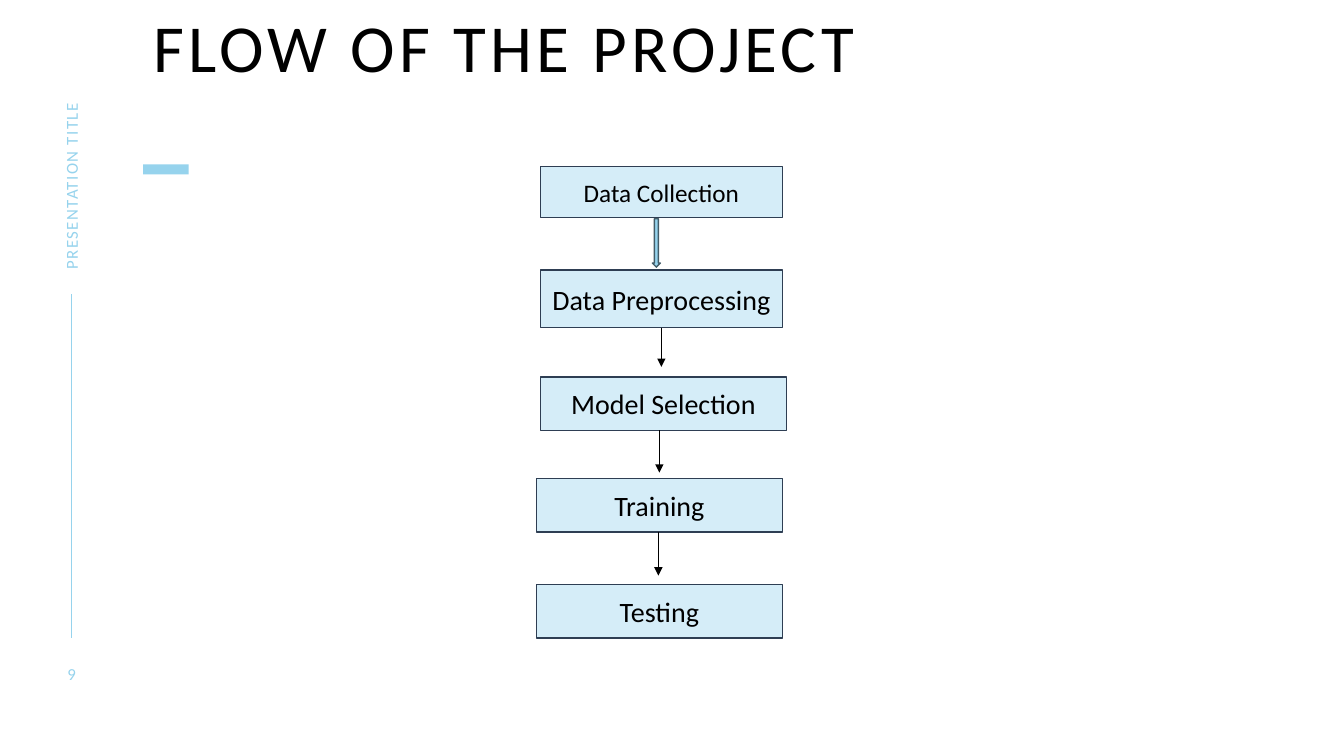
"""Build the project flow slide: five steps joined by arrows."""
from dataclasses import dataclass

from lxml.etree import SubElement
from pptx import Presentation
from pptx.dml.color import RGBColor
from pptx.enum.shapes import MSO_CONNECTOR, MSO_SHAPE
from pptx.enum.text import MSO_ANCHOR, MSO_AUTO_SIZE, PP_ALIGN
from pptx.oxml.ns import qn
from pptx.util import Inches, Pt


@dataclass(frozen=True)
class Theme:
    font: str = "Calibri"
    ink: RGBColor = RGBColor.from_string("000000")
    accent: RGBColor = RGBColor.from_string("96D3ED")
    box: RGBColor = RGBColor.from_string("D5EDF8")
    box_line: RGBColor = RGBColor.from_string("2E3E53")
    arrow_line: RGBColor = RGBColor.from_string("425C68")
    title: int = 48
    step: int = 20
    first_step: int = 18
    small: int = 12


def write(sp, text, size, color, align, anchor=MSO_ANCHOR.MIDDLE, spacing=0, inset=0):
    tf = sp.text_frame
    tf.word_wrap = True
    tf.auto_size = MSO_AUTO_SIZE.NONE
    tf.vertical_anchor = anchor
    tf.margin_left = tf.margin_right = Inches(inset)
    tf.margin_top = tf.margin_bottom = Inches(inset / 2)
    p = tf.paragraphs[0]
    p.alignment = align
    p.font.name, p.font.size, p.font.color.rgb = theme.font, Pt(size), color
    r = p.add_run()
    r.text = text
    if spacing:
        r.font._element.set("spc", str(spacing * 100))
    return p


def add_line(x, top, bottom, color, width, arrow=False):
    c = s.shapes.add_connector(
        MSO_CONNECTOR.STRAIGHT, Inches(x), Inches(top), Inches(x), Inches(bottom))
    c.line.color.rgb = color
    c.line.width = Pt(width)
    if arrow:
        SubElement(c.line._get_or_add_ln(), qn("a:tailEnd"), type="triangle")
    SubElement(c._element.spPr, qn("a:effectLst"))


theme = Theme()
prs = Presentation()
prs.slide_width, prs.slide_height = Inches(13.33), Inches(7.5)
s = prs.slides.add_slide(prs.slide_layouts[5])

title = s.shapes.title
title.left, title.top = Inches(1.52), Inches(0.14)
title.width, title.height = Inches(10.96), Inches(1.37)
p = write(title, "FLOW OF\u00a0THE PROJECT".replace("\u00a0", " "), theme.title, theme.ink,
          PP_ALIGN.LEFT, MSO_ANCHOR.TOP, spacing=3)
p.line_spacing = 0.9

bar = s.shapes.add_shape(
    MSO_SHAPE.RECTANGLE, Inches(1.42), Inches(1.63), Inches(0.45), Inches(0.1))
bar.shadow.inherit = False
bar.fill.solid()
bar.fill.fore_color.rgb = theme.accent
bar.line.fill.background()

footer = s.shapes.add_textbox(Inches(-0.27), Inches(1.59), Inches(1.95), Inches(0.21))
footer.rotation = 270
write(footer, "PRESENTATION TITLE", theme.small, theme.accent, PP_ALIGN.LEFT, spacing=1)
number = s.shapes.add_textbox(Inches(0.46), Inches(6.58), Inches(0.5), Inches(0.2))
write(number, "9", theme.small, theme.accent, PP_ALIGN.CENTER, spacing=2)
add_line(0.71, 2.92, 6.33, theme.accent, 1)

steps = [
    ("Data Collection", 5.36, 1.65, 2.4, 0.51, theme.first_step),
    ("Data Preprocessing", 5.36, 2.68, 2.4, 0.57, theme.step),
    ("Model Selection", 5.36, 3.74, 2.44, 0.53, theme.step),
    ("Training", 5.32, 4.75, 2.44, 0.53, theme.step),
    ("Testing", 5.32, 5.8, 2.44, 0.53, theme.step),
]
for name, left, top, width, height, size in steps:
    sp = s.shapes.add_shape(
        MSO_SHAPE.RECTANGLE, Inches(left), Inches(top), Inches(width), Inches(height))
    sp.shadow.inherit = False
    sp.fill.solid()
    sp.fill.fore_color.rgb = theme.box
    sp.line.color.rgb = theme.box_line
    sp.line.width = Pt(1)
    write(sp, name, size, theme.ink, PP_ALIGN.CENTER, inset=0.1)

block = s.shapes.add_shape(
    MSO_SHAPE.DOWN_ARROW, Inches(6.47), Inches(2.17), Inches(0.08), Inches(0.48))
block.shadow.inherit = False
block.fill.solid()
block.fill.fore_color.rgb = theme.accent
block.line.color.rgb = theme.arrow_line
block.line.width = Pt(1)

for x, top, bottom in [(6.56, 3.25, 3.64), (6.54, 4.27, 4.69), (6.53, 5.28, 5.71)]:
    add_line(x, top, bottom, theme.ink, 0.5, arrow=True)

prs.save("out.pptx")
